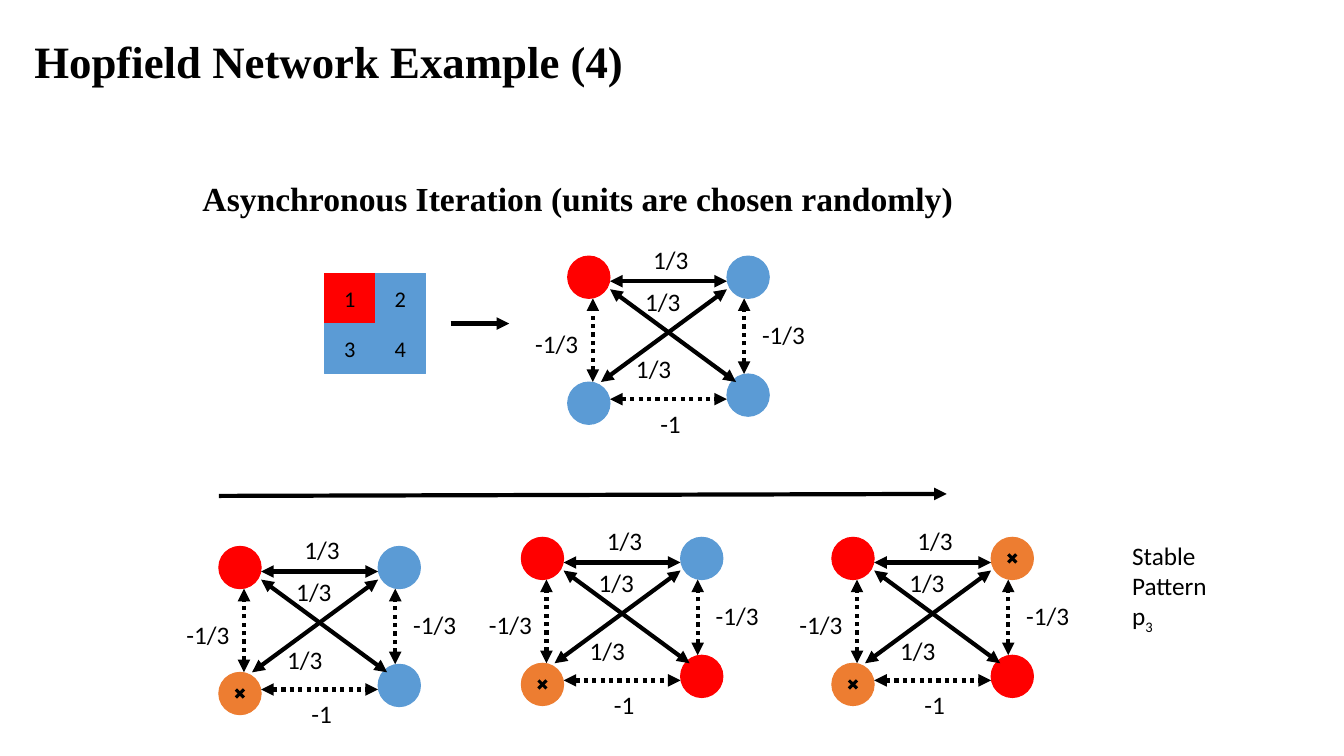
"""Build the slide that shows asynchronous iteration of a four-unit Hopfield network."""
from dataclasses import dataclass
from typing import Any, NamedTuple

from lxml import etree
from pptx import Presentation
from pptx.dml import color
from pptx.enum import dml, shapes, text
from pptx.oxml import ns
from pptx.util import Inches, Pt


@dataclass(frozen=True)
class Theme:
    ink: color.RGBColor = color.RGBColor(0, 0, 0)
    up: color.RGBColor = color.RGBColor(0xFF, 0, 0)
    down: color.RGBColor = color.RGBColor(0x5B, 0x9B, 0xD5)
    chosen: color.RGBColor = color.RGBColor(0xED, 0x7D, 0x31)
    heading_font: str = "Times New Roman"
    label_font: str = "Calibri"
    title_size: int = 32
    heading_size: int = 24
    label_size: int = 18
    cell_size: int = 16
    outline: float = 0.75
    edge: float = 3
    cross: float = 2.25


class Point(NamedTuple):
    x: float
    y: float

    def shifted(self, offset: "Point") -> "Point":
        return Point(self.x + offset.x, self.y + offset.y)


class Edge(NamedTuple):
    start: Point
    end: Point
    inhibitory: bool = False


class Weight(NamedTuple):
    caption: str
    corner: Point
    width: float


class Network(NamedTuple):
    origin: Point
    states: tuple[color.RGBColor, ...]


THEME = Theme()
UNIT_SIZE = 0.42
CELL_SIZE = 0.5
PATTERN_CORNER = Point(3.22, 2.71)
UNITS = (Point(0, 0), Point(0, 1.25), Point(1.58, 1.17), Point(1.58, 0))
EDGES = (
    Edge(Point(0.33, 1.25), Point(1.58, 0.33)),
    Edge(Point(0.42, 0.25), Point(1.58, 0.25)),
    Edge(Point(0.25, 1.25), Point(0.25, 0.42), True),
    Edge(Point(0.42, 0.33), Point(1.67, 1.25)),
    Edge(Point(0.42, 1.42), Point(1.58, 1.42), True),
    Edge(Point(1.75, 1.17), Point(1.75, 0.42), True),
)
WEIGHTS = (
    Weight("-1", Point(0.82, 1.46), 0.41),
    Weight("-1/3", Point(-0.42, 0.67), 0.63),
    Weight("1/3", Point(0.58, 0.92), 0.56),
    Weight("1/3", Point(0.67, 0.25), 0.56),
    Weight("-1/3", Point(1.83, 0.58), 0.63),
    Weight("1/3", Point(0.75, -0.17), 0.56),
)
CROSS = ((Point(0.17, 0.17), Point(0.25, 0.25)), (Point(0.25, 0.17), Point(0.17, 0.25)))
NETWORKS = (
    Network(Point(5.63, 2.54), (THEME.up, THEME.down, THEME.down, THEME.down)),
    Network(Point(2.17, 5.42), (THEME.up, THEME.chosen, THEME.down, THEME.down)),
    Network(Point(5.17, 5.33), (THEME.up, THEME.chosen, THEME.up, THEME.down)),
    Network(Point(8.25, 5.33), (THEME.up, THEME.chosen, THEME.up, THEME.chosen)),
)


def apply(target: Any, formats: dict[str, Any]) -> None:
    for attribute, value in formats.items():
        setattr(target, attribute, value)


def write(frame: Any, lines: tuple[str, ...], size: int, font: str, bold: bool = False,
          align: Any = text.PP_ALIGN.LEFT, anchor: Any = text.MSO_ANCHOR.TOP) -> None:
    apply(frame, {"word_wrap": False, "auto_size": text.MSO_AUTO_SIZE.NONE,
                  "vertical_anchor": anchor})
    for index, line in enumerate(lines):
        paragraph = frame.add_paragraph() if index else frame.paragraphs[0]
        apply(paragraph, {"alignment": align, "line_spacing": 1.0})
        run = paragraph.add_run()
        run.text = line
        style_run(run, size, font, bold)


def style_run(run: Any, size: int, font: str, bold: bool = False) -> None:
    apply(run.font, {"name": font, "size": Pt(size), "bold": bold})
    run.font.color.rgb = THEME.ink


def add_label(slide: Any, lines: tuple[str, ...], corner: Point, width: float, height: float,
              size: int = THEME.label_size, font: str = THEME.label_font,
              bold: bool = False) -> Any:
    label = slide.shapes.add_textbox(Inches(corner.x), Inches(corner.y),
                                     Inches(width), Inches(height))
    write(label.text_frame, lines, size, font, bold)
    return label.text_frame


def add_filled(slide: Any, kind: Any, corner: Point, side: float, fill: color.RGBColor) -> Any:
    filled = slide.shapes.add_shape(kind, Inches(corner.x), Inches(corner.y),
                                    Inches(side), Inches(side))
    filled.shadow.inherit = False
    filled.fill.solid()
    filled.fill.fore_color.rgb = fill
    filled.line.color.rgb = fill
    filled.line.width = Pt(THEME.outline)
    return filled


def add_line(collection: Any, start: Point, end: Point, width: float,
             arrows: tuple[str, ...] = (), dotted: bool = False) -> None:
    line = collection.add_connector(shapes.MSO_CONNECTOR.STRAIGHT, Inches(start.x),
                                    Inches(start.y), Inches(end.x), Inches(end.y))
    line.line.color.rgb = THEME.ink
    line.line.width = Pt(width)
    if dotted:
        line.line.dash_style = dml.MSO_LINE.ROUND_DOT
    properties = line._element.spPr
    outline = properties.find(ns.qn("a:ln"))
    for arrow in arrows:
        etree.SubElement(outline, ns.qn(arrow), type="triangle")
    etree.SubElement(properties, ns.qn("a:effectLst"))


def add_pattern(slide: Any) -> None:
    for index in range(4):
        row, column = divmod(index, 2)
        corner = PATTERN_CORNER.shifted(Point(column * CELL_SIZE, row * CELL_SIZE))
        cell = add_filled(slide, shapes.MSO_SHAPE.RECTANGLE, corner, CELL_SIZE,
                          THEME.down if index else THEME.up)
        write(cell.text_frame, (str(index + 1),), THEME.cell_size, THEME.label_font,
              align=text.PP_ALIGN.CENTER, anchor=text.MSO_ANCHOR.MIDDLE)


def add_network(slide: Any, network: Network) -> None:
    for unit, state in zip(UNITS, network.states):
        add_filled(slide, shapes.MSO_SHAPE.OVAL, unit.shifted(network.origin), UNIT_SIZE, state)
    for edge in EDGES:
        add_line(slide.shapes, edge.start.shifted(network.origin),
                 edge.end.shifted(network.origin), THEME.edge,
                 ("a:headEnd", "a:tailEnd"), edge.inhibitory)
    for weight in WEIGHTS:
        add_label(slide, (weight.caption,), weight.corner.shifted(network.origin),
                  weight.width, 0.4)
    for unit, state in zip(UNITS, network.states):
        if state == THEME.chosen:
            cross = slide.shapes.add_group_shape()
            corner = unit.shifted(network.origin)
            for start, end in CROSS:
                add_line(cross.shapes, start.shifted(corner), end.shifted(corner), THEME.cross)


def main() -> None:
    deck = Presentation()
    apply(deck, {"slide_width": Inches(13.33), "slide_height": Inches(7.5)})
    slide = deck.slides.add_slide(deck.slide_layouts[5])
    title = slide.shapes.title
    apply(title, {"left": Inches(0.24), "top": Inches(0.28),
                  "width": Inches(6.1), "height": Inches(0.64)})
    write(title.text_frame, ("Hopfield Network Example (4)",), THEME.title_size,
          THEME.heading_font, True)
    add_label(slide, ("Asynchronous Iteration (units are chosen randomly)",), Point(1.91, 1.72),
              7.72, 0.5, THEME.heading_size, THEME.heading_font, True)
    add_pattern(slide)
    add_line(slide.shapes, Point(4.47, 3.21), Point(5.05, 3.21), THEME.edge, ("a:tailEnd",))
    for network in NETWORKS:
        add_network(slide, network)
    add_line(slide.shapes, Point(2.17, 4.92), Point(9.39, 4.9), THEME.edge, ("a:tailEnd",))
    outcome = add_label(slide, ("Stable", "Pattern", "p"), Point(11.13, 5.31), 0.95, 1.01)
    subscript = outcome.paragraphs[-1].add_run()
    subscript.text = "3"
    style_run(subscript, THEME.label_size, THEME.label_font)
    subscript.font._element.set("baseline", "-25000")
    deck.save("out.pptx")


if __name__ == "__main__":
    main()
